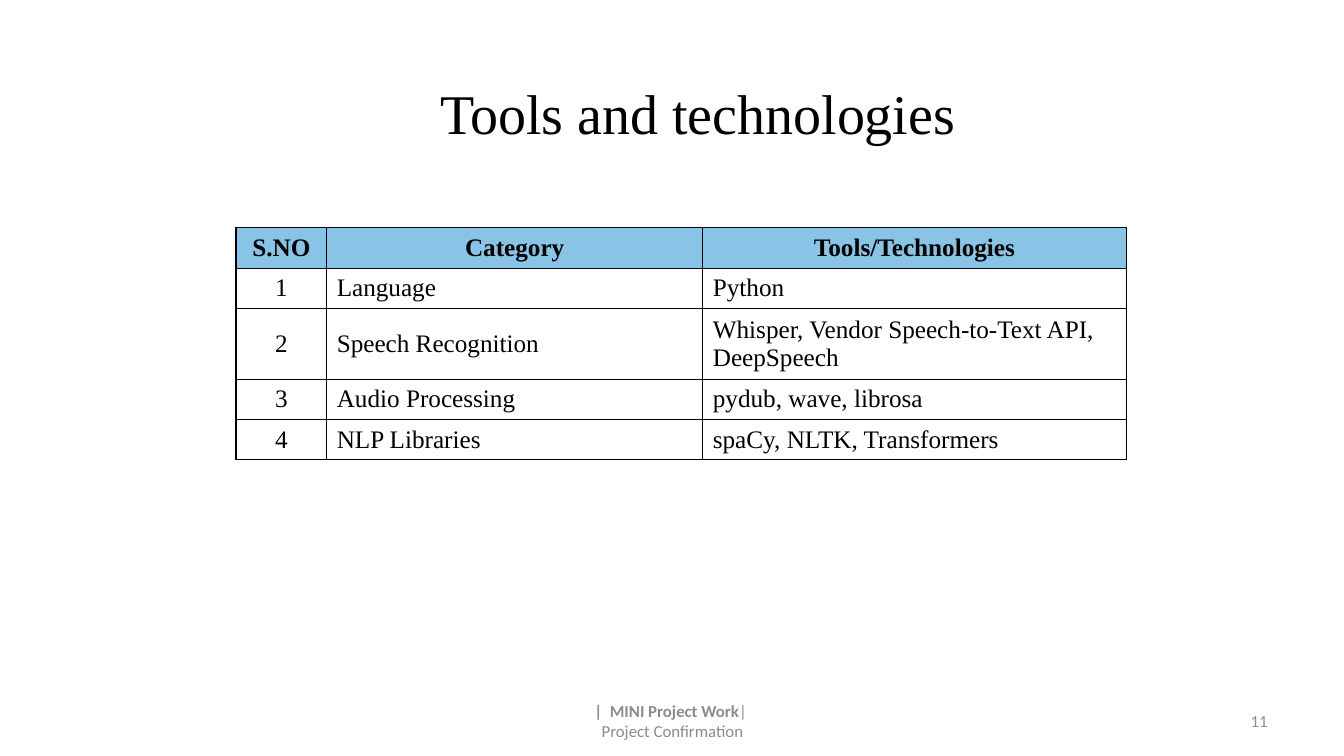
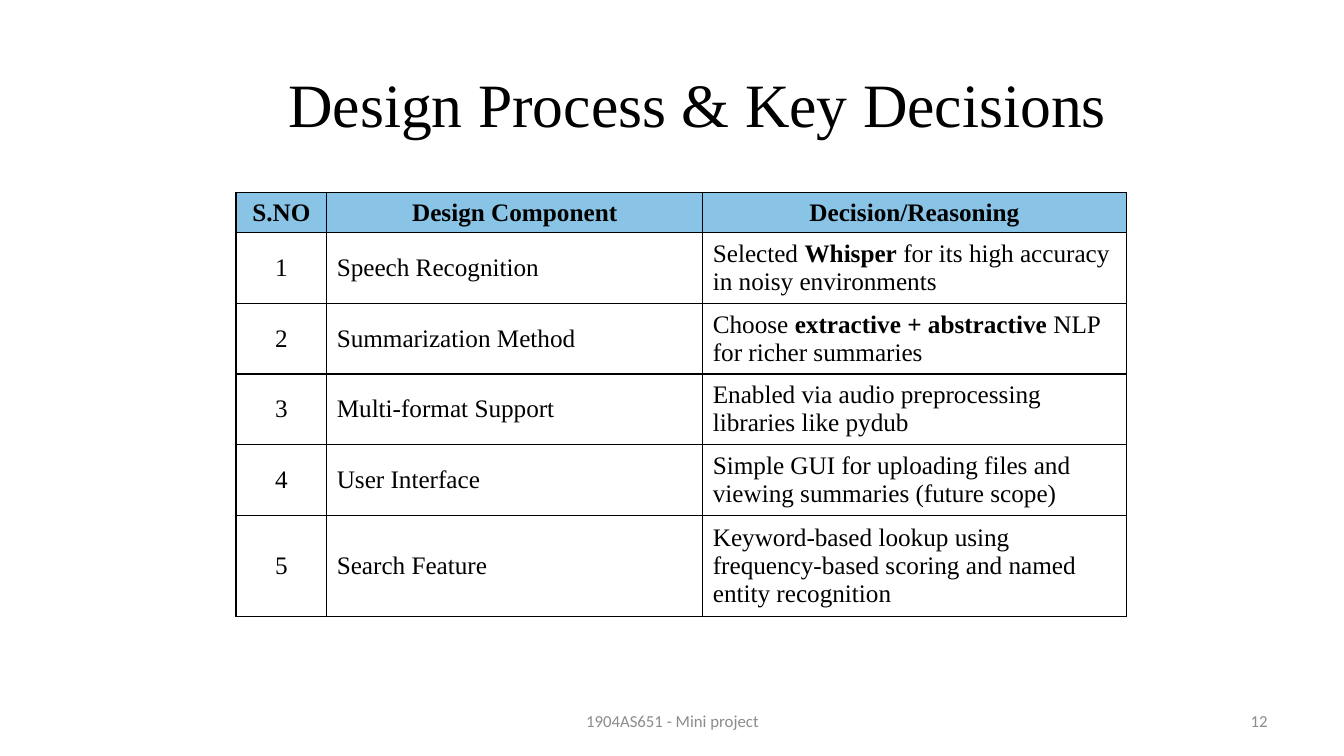
import pptx
import pptx.dml.color
import pptx.enum.text
import pptx.oxml
import pptx.oxml.ns
import pptx.util
from pptx.util import Inches

ALIGN = pptx.enum.text.PP_ALIGN
MIDDLE = pptx.enum.text.MSO_ANCHOR.MIDDLE
COLORS = {"text": "000000", "footer": "8C8C8C", "header": "89C3E5", "border": "000000"}
TITLE_FONT = "Times New Roman"
FOOTER_FONT = "Calibri"


def rgb(name):
    return pptx.dml.color.RGBColor.from_string(COLORS[name])


class Deck:
    """Holds the shared style and the slide being built."""

    def __init__(self):
        self.presentation = pptx.Presentation()
        self.presentation.slide_width = Inches(13.33)
        self.presentation.slide_height = Inches(7.5)
        self.slide = None

    def add_slide(self):
        self.slide = self.presentation.slides.add_slide(self.presentation.slide_layouts[6])

    def fill_paragraph(self, paragraph, text, font, size, color, align):
        """Fill a paragraph; text between ** marks is bold."""
        paragraph.alignment = align
        paragraph.font.name = font
        paragraph.font.size = pptx.util.Pt(size)
        paragraph.font.color.rgb = rgb(color)
        for index, part in enumerate(text.split("**")):
            if part:
                run = paragraph.add_run()
                run.text = part
                run.font.bold = index % 2 == 1

    def text(self, left, top, width, height, lines, font, size, color, align=ALIGN.CENTER):
        box = self.slide.shapes.add_textbox(
            Inches(left), Inches(top), Inches(width), Inches(height))
        frame = box.text_frame
        frame.word_wrap = True
        frame.vertical_anchor = MIDDLE
        for index, line in enumerate(lines):
            paragraph = frame.add_paragraph() if index else frame.paragraphs[0]
            self.fill_paragraph(paragraph, line, font, size, color, align)

    def title(self, text, top, size):
        self.text(2.67, top, 8.5, 0.93, [text], TITLE_FONT, size, "text")

    def footer(self, lines, number):
        self.text(4.56, 6.95, 4.22, 0.4, lines, FOOTER_FONT, 12, "footer")
        self.text(9.56, 6.95, 3.11, 0.4, [str(number)], FOOTER_FONT, 12, "footer", ALIGN.RIGHT)

    def border(self, cell):
        properties = cell._tc.get_or_add_tcPr()
        for index, side in enumerate(("lnL", "lnR", "lnT", "lnB")):
            properties.insert(index, pptx.oxml.parse_xml(
                f'<a:{side} {pptx.oxml.ns.nsdecls("a")} w="12700"><a:solidFill>'
                f'<a:srgbClr val="{COLORS["border"]}"/></a:solidFill></a:{side}>'))

    def table(self, top, header, entries):
        """Add a table whose first column numbers the entries."""
        rows = [("S.NO", *header)]
        rows += [(str(number), *entry) for number, entry in enumerate(entries, 1)]
        widths = (0.9, 3.73, 4.2)
        row_height = 0.37
        table = self.slide.shapes.add_table(
            len(rows), len(widths), Inches(2.34), Inches(top),
            Inches(sum(widths)), Inches(row_height * len(rows))).table
        for column, width in zip(table.columns, widths):
            column.width = Inches(width)
        for row_index, row in enumerate(rows):
            is_header = row_index == 0
            for column_index, text in enumerate(row):
                cell = table.cell(row_index, column_index)
                cell.vertical_anchor = MIDDLE
                if is_header:
                    cell.fill.solid()
                    cell.fill.fore_color.rgb = rgb("header")
                    text = f"**{text}**"
                else:
                    cell.fill.background()
                self.border(cell)
                centered = is_header or column_index == 0
                self.fill_paragraph(cell.text_frame.paragraphs[0], text, TITLE_FONT, 18, "text",
                                    ALIGN.CENTER if centered else ALIGN.LEFT)


def main():
    deck = Deck()

    deck.add_slide()
    deck.title("Tools and technologies", 0.65, 40)
    deck.table(2.26, ("Category", "Tools/Technologies"), [
        ("Language", "Python"),
        ("Speech Recognition", "Whisper, Vendor Speech-to-Text API, DeepSpeech"),
        ("Audio Processing", "pydub, wave, librosa"),
        ("NLP Libraries", "spaCy, NLTK, Transformers"),
    ])
    deck.footer(["**|  MINI Project Work**| ", "Project Confirmation"], 11)

    deck.add_slide()
    deck.title("Design Process & Key Decisions", 0.56, 44)
    deck.table(1.91, ("Design Component", "Decision/Reasoning"), [
        ("Speech Recognition", "Selected **Whisper** for its high accuracy in noisy environments"),
        ("Summarization Method", "Choose **extractive + abstractive** NLP for richer summaries"),
        ("Multi-format Support", "Enabled via audio preprocessing libraries like pydub"),
        ("User Interface", "Simple GUI for uploading files and viewing summaries (future scope)"),
        ("Search Feature", "Keyword-based lookup using frequency-based scoring "
                           "and named entity recognition"),
    ])
    deck.footer(["1904AS651 - Mini project"], 12)

    deck.presentation.save("out.pptx")


if __name__ == "__main__":
    main()
